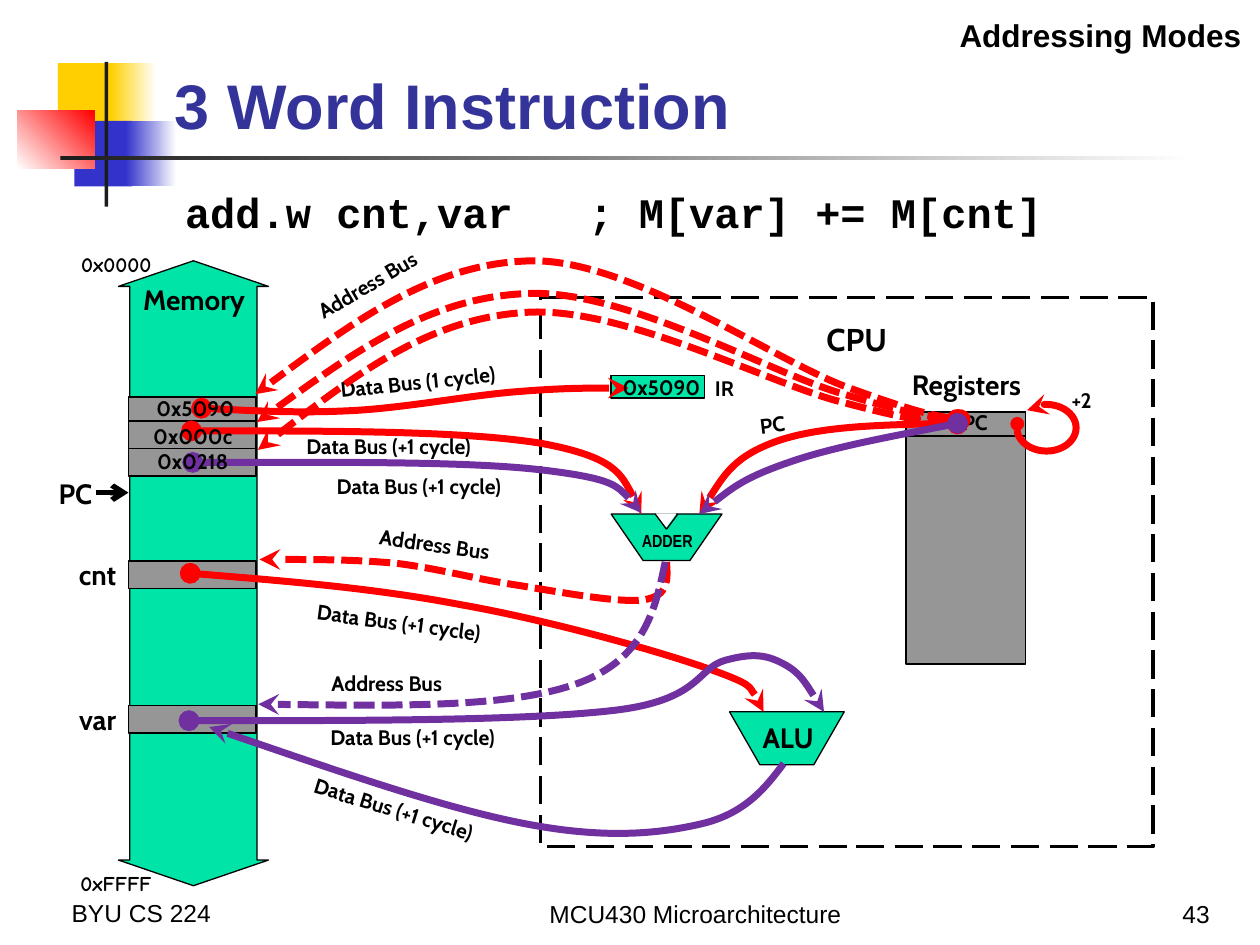
from dataclasses import dataclass
from typing import Any

from lxml.etree import SubElement
from pptx import Presentation
from pptx.dml.color import RGBColor
from pptx.enum.dml import MSO_LINE
from pptx.enum.shapes import MSO_CONNECTOR, MSO_SHAPE
from pptx.enum.text import MSO_ANCHOR, MSO_AUTO_SIZE, PP_ALIGN
from pptx.oxml.ns import qn
from pptx.util import Inches, Pt

COLORS = {
    "black": "000000", "white": "FFFFFF", "ink": "1C1C1C", "title": "333399",
    "yellow": "FFCF01", "blue": "3333CC", "red": "FF0000",
    "purple": "7030A0", "green": "00E4A8", "gray": "969696",
}
CELL_TOPS = {"opcode": 1.08, "source": 1.27, "target": 1.49, "cnt": 2.38, "var": 3.53}


def rgb(name):
    """Return the named palette colour."""
    return RGBColor.from_string(COLORS[name])


def add_ends(shape, head=None, tail=None, tail_size="med"):
    """Put line ends on a shape or connector that already has a line."""
    ln = shape._element.spPr.find(qn("a:ln"))
    for tag, kind, size in (("a:headEnd", head, "med"), ("a:tailEnd", tail, tail_size)):
        if kind:
            SubElement(ln, qn(tag), type=kind, w=size, len=size)


@dataclass
class Region:
    """A box on the slide whose parts are placed relative to its corner."""

    slide: Any
    left: float
    top: float
    width: float
    height: float

    def at(self, x, y):
        """Return the slide position of a point in this box."""
        return Inches(self.left + x), Inches(self.top + y)

    def block(self, x, y, w, h, fill=None, line=None, weight=1.0,
              kind=MSO_SHAPE.RECTANGLE, adjust=(), flip=False, fade=None, angle=0):
        """Add a preset shape with a plain, faded or empty fill."""
        shape = self.slide.shapes.add_shape(kind, *self.at(x, y), Inches(w), Inches(h))
        shape.shadow.inherit = False
        for index, value in enumerate(adjust):
            shape.adjustments[index] = value
        if len(adjust) > 1:
            for number, guide in enumerate(shape._element.iter(qn("a:gd")), 1):
                guide.set("name", f"adj{number}")
        if fade:
            shape.fill.gradient()
            shape.fill.gradient_angle = angle
            for stop, color in zip(shape.fill.gradient_stops, (fill, fade)):
                stop.color.rgb = rgb(color)
        elif fill:
            shape.fill.solid()
            shape.fill.fore_color.rgb = rgb(fill)
        else:
            shape.fill.background()
        if line:
            shape.line.color.rgb = rgb(line)
            shape.line.width = Pt(weight)
        else:
            shape.line.fill.background()
        if flip:
            shape._element.spPr.find(qn("a:xfrm")).set("flipV", "1")
        return shape

    def label(self, text, x, y, w, h, size=12, font="Cabin", align=PP_ALIGN.CENTER,
              bold=True, color="black", turn=0, tight=False, anchor=MSO_ANCHOR.TOP):
        """Add one line of text."""
        box = self.slide.shapes.add_textbox(*self.at(x, y), Inches(w), Inches(h))
        box.rotation = turn
        frame = box.text_frame
        frame.word_wrap = not tight
        frame.vertical_anchor = anchor
        if anchor == MSO_ANCHOR.TOP:
            frame.auto_size = MSO_AUTO_SIZE.SHAPE_TO_FIT_TEXT
        if tight:
            frame.margin_left = frame.margin_right = 0
            frame.margin_top = frame.margin_bottom = 0
        paragraph = frame.paragraphs[0]
        paragraph.text = text
        paragraph.alignment = align
        paragraph.font.size = Pt(size)
        paragraph.font.name = font
        paragraph.font.bold = bold
        paragraph.font.color.rgb = rgb(color)

    def straight(self, start, end, weight=0.75, tail=None):
        """Add a straight black line."""
        line = self.slide.shapes.add_connector(
            MSO_CONNECTOR.STRAIGHT, *self.at(*start), *self.at(*end))
        line.line.color.rgb = rgb("black")
        line.line.width = Pt(weight)
        add_ends(line, tail=tail)
        SubElement(line._element.spPr, qn("a:effectLst"))

    def bus(self, color, points, dashed=False, head="oval", turn=0):
        """Add a curved arrow through a start and triples of Bezier points."""
        start, *rest = [self.at(*point) for point in points]
        builder = self.slide.shapes.build_freeform(*start)
        builder.add_line_segments(rest, close=False)
        curve = builder.convert_to_shape()
        path = next(curve._element.iter(qn("a:path")))
        segments = path.findall(qn("a:lnTo"))
        for first in range(0, len(segments), 3):
            bezier = SubElement(path, qn("a:cubicBezTo"))
            for segment in segments[first:first + 3]:
                bezier.append(segment[0])
                path.remove(segment)
        curve.rotation = turn
        curve.shadow.inherit = False
        curve.fill.background()
        curve.line.color.rgb = rgb(color)
        curve.line.width = Pt(4)
        if dashed:
            curve.line.dash_style = MSO_LINE.SQUARE_DOT
        add_ends(curve, head, "stealth")


def draw_emblem(area):
    """Draw the coloured squares and rules beside the title."""
    area.block(0.32, 0.01, 0.48, 0.52, "yellow")
    area.block(0.74, 0.01, 0.36, 0.52, "yellow", fade="white")
    area.block(0.45, 0.47, 0.46, 0.52, "blue")
    area.block(0.86, 0.47, 0.4, 0.52, "blue", fade="white")
    area.block(0, 0.39, 0.61, 0.46, "white", fade="red", angle=45)
    area.block(0.69, 0, 0.03, 1.15, "ink")
    area.block(0.34, 0.75, 9, 0.03, "ink", fade="white")


def draw_heading(area):
    """Write the topic, the title and the instruction."""
    area.label("Addressing Modes", 5.93, 0.08, 4.02, 0.4, 18, "Arial", PP_ALIGN.RIGHT)
    area.label("3 Word Instruction", 1.29, 0.23, 8.71, 0.95, 36, "Arial",
               PP_ALIGN.LEFT, color="title", anchor=MSO_ANCHOR.BOTTOM)
    area.label("add.w cnt,var   ; M[var] += M[cnt]", 1.37, 1.43, 8.58, 0.5, 24,
               "Courier New", PP_ALIGN.LEFT)


def draw_footer(area):
    """Write the course, the subject and the slide number."""
    for text, x, y, w, h, align in (
            ("BYU CS 224", 0, 0, 2.08, 0.69, PP_ALIGN.LEFT),
            ("MCU430 Microarchitecture", 2.4, 0.18, 5.3, 0.52, PP_ALIGN.CENTER),
            ("43", 8.39, 0.18, 0.84, 0.52, PP_ALIGN.RIGHT)):
        area.label(text, x, y, w, h, 14, "Arial", align, False, anchor=MSO_ANCHOR.BOTTOM)


def draw_memory(area):
    """Draw the memory column with its cells and address marks."""
    area.block(0, 0, area.width, area.height, "green", "black", 0.75,
               MSO_SHAPE.UP_DOWN_ARROW, (0.848, 0.171))
    area.label("Memory", -0.07, 0.12, 1.34, 0.37, 16)
    for address, y in (("0x0000", -0.12), ("0xFFFF", 4.79)):
        area.label(address, -0.69, y, 1.05, 0.3, 12, "Comic Neue", PP_ALIGN.RIGHT)
    for cell, y in CELL_TOPS.items():
        area.block(0.08, y, 1.01, 0.19 if cell == "opcode" else 0.22, "gray", "black")
    for variable in ("cnt", "var"):
        area.label(variable, -0.94, CELL_TOPS[variable] - 0.07, 1.02, 0.37, 16,
                   align=PP_ALIGN.RIGHT)
    area.label("PC", -0.62, 1.66, 0.51, 0.37, 16, align=PP_ALIGN.RIGHT)
    area.straight((-0.18, 1.84), (0.08, 1.84), 3, "arrow")


def draw_cpu(area):
    """Draw the processor with its registers, adder and ALU."""
    outline = area.block(0, 0, area.width, area.height, line="black", weight=2)
    outline.line.dash_style = MSO_LINE.LONG_DASH
    area.label("CPU", 1.84, 0.13, 1.34, 0.4, 18)
    area.label("Registers", 2.71, 0.51, 1.34, 0.37, 16)
    for height in (2, 0.19):
        area.block(2.9, 0.91, 0.95, height, "gray", "black")
    area.label("PC", 3.17, 0.84, 0.56, 0.3)
    area.block(0.56, 0.62, 0.74, 0.18, "green", "black", 0.75)
    area.label("IR", 1.18, 0.57, 0.56, 0.3)
    area.block(0.56, 1.72, 0.88, 0.37, "green", "black", 0.75,
               MSO_SHAPE.TRAPEZOID, (0.689,), True)
    area.block(0.92, 1.72, 0.15, 0.1, "white", "white", 0.75,
               MSO_SHAPE.ISOSCELES_TRIANGLE, (0.518,), True)
    for x in (0.91, 1.09):
        area.straight((x, 1.72), (1, 1.84))
    area.label("ADDER", 0.8, 1.85, 0.41, 0.17, 10, "Arial Narrow", tight=True)
    area.block(1.5, 3.29, 0.91, 0.42, "green", "black", 0.75,
               MSO_SHAPE.TRAPEZOID, (0.574,), True)
    area.label("ALU", 1.63, 3.31, 0.67, 0.37, 16)
    area.label("+2", 4.05, 0.67, 0.49, 0.3)
    loop = area.block(3.78, 0.85, 0.47, 0.37, line="red", weight=4,
                      kind=MSO_SHAPE.ARC, adjust=(25.234, 4.593))
    loop.rotation = 180
    add_ends(loop, "stealth", "oval", "sm")


def draw_data_buses(area):
    """Draw the buses that carry data and operands."""
    area.bus("red", [(0.51, 2.55), (1.25, 2.61), (1.98, 2.67), (2.66, 2.8),
                     (3.34, 2.92), (4.2, 3.16), (4.6, 3.3),
                     (5, 3.44), (5.03, 3.55), (5.06, 3.65)])
    area.bus("red", [(0.52, 1.42), (1.61, 1.42), (2.7, 1.42), (3.3, 1.52),
                     (3.89, 1.63), (3.99, 1.85), (4.09, 2.08)])
    area.bus("purple", [(0.5, 3.72), (1.83, 3.72), (3.15, 3.72), (3.86, 3.64),
                        (4.57, 3.56), (4.53, 3.3), (4.76, 3.24),
                        (4.98, 3.18), (5.09, 3.2), (5.22, 3.27),
                        (5.35, 3.34), (5.44, 3.49), (5.54, 3.65)])
    area.bus("purple", [(5.22, 4.06), (5.07, 4.26), (4.91, 4.46), (4.56, 4.54),
                        (4.21, 4.62), (3.78, 4.66), (3.13, 4.53),
                        (2.48, 4.4), (1.57, 4.08), (0.66, 3.77)], head=None)
    area.bus("purple", [(0.53, 1.67), (1.62, 1.67), (2.71, 1.66), (3.3, 1.73),
                        (3.89, 1.8), (3.99, 1.93), (4.09, 2.07)])
    area.bus("red", [(0.6, 1.24), (0.99, 1.26), (1.37, 1.28), (1.78, 1.26),
                     (2.2, 1.24), (2.72, 1.14), (3.09, 1.11),
                     (3.46, 1.08), (3.72, 1.08), (3.99, 1.08)])
    area.bus("red", [(6.6, 1.36), (6.06, 1.37), (5.52, 1.38), (5.17, 1.5),
                     (4.83, 1.62), (4.69, 1.85), (4.55, 2.08)])
    for x, y, w, turn in ((1.06, 1.39, 2.05, 0), (1.12, 2.79, 2.09, 7.5),
                          (1.25, 3.7, 2.05, 0), (1.1, 4.27, 2.05, 17.1),
                          (1.3, 1.71, 2.05, 0)):
        area.label("Data Bus (+1 cycle)", x, y, w, 0.3, turn=turn)
    area.label("Data Bus (1 cycle)", 1.37, 0.88, 1.89, 0.3, turn=354.2)
    area.label("PC", 4.89, 1.22, 0.48, 0.3, turn=353.1)


def draw_words(area):
    """Write the fetched words in memory and in the instruction register."""
    for word, x, y in (("0x5090", 0.2, 1.14), ("0x000c", 0.18, 1.36),
                       ("0x0218", 0.18, 1.56), ("0x5090", 3.9, 0.97)):
        area.label(word, x, y, 0.7, 0.2, tight=True)


def draw_address_buses(area):
    """Draw the dashed buses that carry addresses."""
    area.bus("red", [(4.29, 2.46), (4.3, 2.6), (4.31, 2.73), (4.11, 2.76),
                     (3.91, 2.79), (3.4, 2.69), (3.08, 2.64),
                     (2.75, 2.59), (2.47, 2.51), (2.14, 2.47),
                     (1.8, 2.44), (1.43, 2.44), (1.06, 2.44)], True, None)
    area.bus("purple", [(4.28, 2.46), (4.2, 2.85), (4.11, 3.24), (3.57, 3.43),
                        (3.03, 3.62), (2.04, 3.6), (1.05, 3.59)], True, None)
    area.bus("red", [(6.61, 1.38), (6.44, 1.35), (6.27, 1.32), (5.7, 1.1),
                     (5.14, 0.88), (4.01, 0.06), (3.23, 0.06),
                     (2.45, 0.06), (1.73, 0.57), (1.02, 1.08)], True, turn=359)
    operand_fetch = [(6.57, 1.47), (6.4, 1.44), (6.23, 1.42), (5.67, 1.22),
                     (5.11, 1.03), (3.98, 0.3), (3.21, 0.3),
                     (2.43, 0.29), (1.73, 0.75), (1.02, 1.21)]
    for dx, dy, turn in ((0, 0, 357.1), (-0.01, 0.13, 355.2)):
        area.bus("red", [(x + dx, y + dy) for x, y in operand_fetch], True, turn=turn)
    area.bus("purple", [(6.6, 1.36), (6.1, 1.46), (5.6, 1.55), (5.26, 1.67),
                        (4.91, 1.79), (4.73, 1.93), (4.55, 2.08)])
    for x, y, h, turn in ((1.73, 2.17, 0.3, 7.9), (1.35, 3.27, 0.3, 0),
                          (1.23, 0.1, 0.44, 329.5)):
        area.label("Address Bus", x, y, 1.44, h, turn=turn)


def main():
    """Build the slide and save it."""
    deck = Presentation()
    deck.slide_width, deck.slide_height = Inches(10), Inches(7.5)
    slide = deck.slides.add_slide(deck.slide_layouts[6])
    draw_emblem(Region(slide, 0.14, 0.49, 9.34, 1.15))
    draw_heading(Region(slide, 0, 0, 10, 2))
    draw_footer(Region(slide, 0.47, 6.72, 9.23, 0.7))
    draw_memory(Region(slide, 0.94, 2.07, 1.19, 4.96))
    draw_cpu(Region(slide, 4.29, 2.36, 4.86, 4.36))
    wiring = Region(slide, 1, 2, 8, 5)
    draw_data_buses(wiring)
    draw_words(wiring)
    draw_address_buses(wiring)
    deck.save("out.pptx")


if __name__ == "__main__":
    main()
